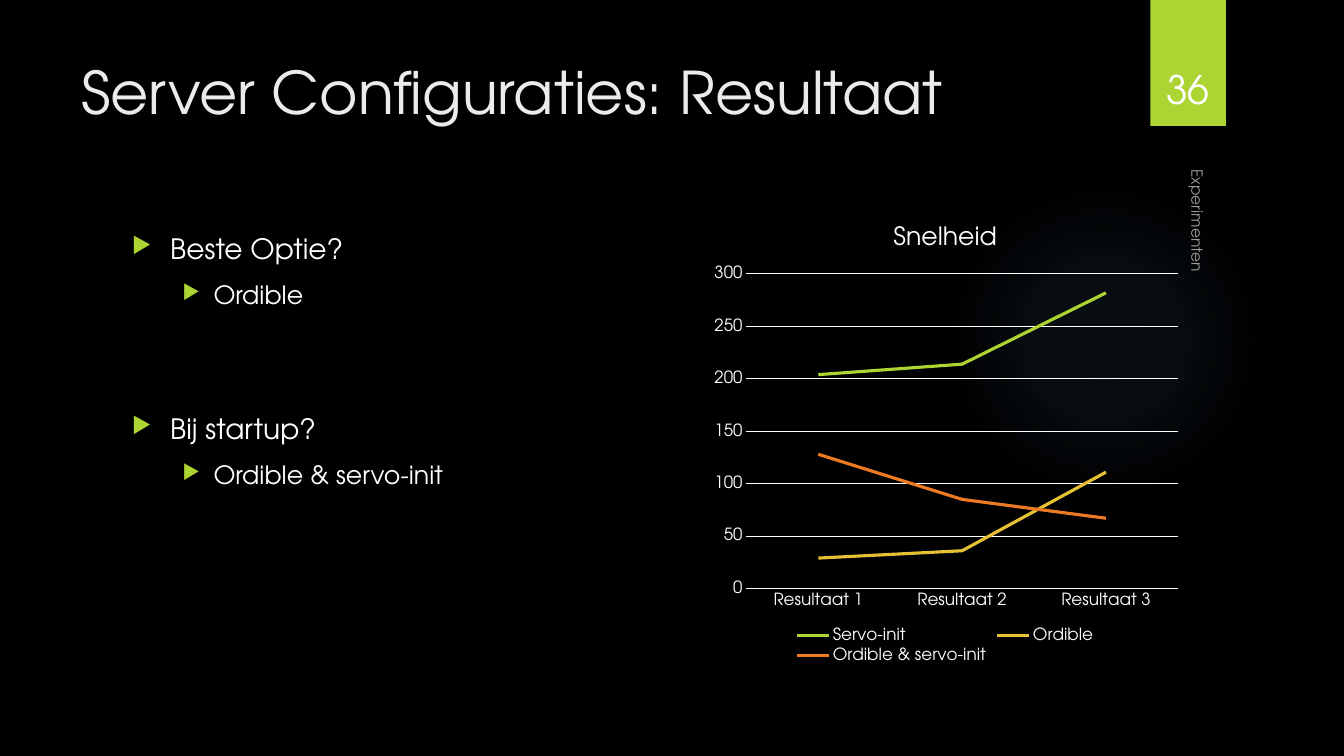
from dataclasses import dataclass

from lxml.etree import SubElement
from pptx import Presentation
from pptx.chart.data import CategoryChartData
from pptx.dml.color import RGBColor
from pptx.enum.chart import XL_CHART_TYPE, XL_LEGEND_POSITION, XL_TICK_MARK
from pptx.enum.shapes import MSO_SHAPE
from pptx.enum.text import MSO_ANCHOR, PP_ALIGN
from pptx.oxml import parse_xml
from pptx.oxml.ns import nsdecls, qn
from pptx.util import Inches, Pt


@dataclass(frozen=True)
class Theme:
    font: str = "TeX Gyre Adventor"
    background: str = "000000"
    glow: str = "7AC4F0"
    accent: str = "ACD433"
    yellow: str = "E6C133"
    orange: str = "EF7A24"
    title: str = "EBEBEB"
    text: str = "FFFFFF"
    shadow: str = "000000"
    title_size: int = 42
    number_size: int = 28
    body_size: int = 20
    sub_size: int = 18
    chart_title_size: int = 18
    chart_size: int = 12
    section_size: int = 11


theme = Theme()


def style_font(font, size, color=theme.text):
    font.name = theme.font
    font.size = Pt(size)
    font.bold = False
    font.color.rgb = RGBColor.from_string(color)


def add_text(box, text, size, color=theme.text, anchor=MSO_ANCHOR.TOP):
    """Put one styled run in a new text box and return the box."""
    text_box = slide.shapes.add_textbox(*[Inches(length) for length in box])
    frame = text_box.text_frame
    frame.word_wrap = True
    frame.vertical_anchor = anchor
    run = frame.paragraphs[0].add_run()
    run.text = text
    style_font(run.font, size, color)
    return text_box


presentation = Presentation()
presentation.slide_width = Inches(13.33)
presentation.slide_height = Inches(7.5)
slide = presentation.slides.add_slide(presentation.slide_layouts[6])
slide.background.fill.solid()
slide.background.fill.fore_color.rgb = RGBColor.from_string(theme.background)

# Soft round glow
glow = slide.shapes.add_shape(
    MSO_SHAPE.OVAL, Inches(9.41), Inches(1.83), Inches(3.08), Inches(3.08))
glow.shadow.inherit = False
glow.line.fill.background()
stops = "".join(
    f'<a:gs pos="{position * 1000}"><a:srgbClr val="{theme.glow}">'
    f'<a:alpha val="{alpha * 1000}"/></a:srgbClr></a:gs>'
    for position, alpha in [(0, 7), (36, 6), (69, 0), (100, 0)])
gradient = parse_xml(
    f'<a:gradFill {nsdecls("a")} rotWithShape="1"><a:gsLst>{stops}</a:gsLst>'
    '<a:path path="circle"><a:fillToRect l="50000" t="50000" r="50000" b="50000"/>'
    '</a:path></a:gradFill>')
glow.element.spPr.find(qn("a:prstGeom")).addnext(gradient)

# Page number tab
tab = slide.shapes.add_shape(
    MSO_SHAPE.RECTANGLE, Inches(11.41), Inches(0), Inches(0.75), Inches(1.25))
tab.shadow.inherit = False
tab.fill.solid()
tab.fill.fore_color.rgb = RGBColor.from_string(theme.accent)
tab.line.fill.background()
tab.element.spPr.find(qn("a:effectLst")).append(parse_xml(
    f'<a:outerShdw {nsdecls("a")} blurRad="{Pt(3)}" dist="{Pt(2)}" dir="5400000" '
    f'rotWithShape="0"><a:srgbClr val="{theme.shadow}"><a:alpha val="45000"/>'
    '</a:srgbClr></a:outerShdw>'))
number_box = add_text(
    (11.32, 0.32, 0.92, 0.84), "36", theme.number_size, anchor=MSO_ANCHOR.BOTTOM)
number_box.text_frame.paragraphs[0].alignment = PP_ALIGN.CENTER

add_text((0.71, 0.5, 10.29, 1.53), "Server Configuraties: Resultaat",
         theme.title_size, theme.title)

# Questions and answers: text, level, space before
bullets = [
    ("Beste Optie?", 0, 10),
    ("Ordible", 1, 10),
    ("Bij startup?", 0, 73),
    ("Ordible & servo-init", 1, 10),
]
indents = [(0.38, -0.38), (0.81, -0.31)]
body = slide.shapes.add_textbox(
    Inches(1.21), Inches(2.25), Inches(5.7), Inches(4.59)).text_frame
body.word_wrap = True
for index, (text, level, space) in enumerate(bullets):
    paragraph = body.add_paragraph() if index else body.paragraphs[0]
    paragraph.level = level
    paragraph.space_before = Pt(space)
    run = paragraph.add_run()
    run.text = text
    style_font(run.font, theme.sub_size if level else theme.body_size)
    properties = paragraph._p.get_or_add_pPr()
    margin, hanging = indents[level]
    properties.set("marL", str(Inches(margin)))
    properties.set("indent", str(Inches(hanging)))
    bullet_color = SubElement(properties, qn("a:buClr"))
    SubElement(bullet_color, qn("a:srgbClr"), val=theme.accent)
    SubElement(properties, qn("a:buSzPct"), val="80000")
    SubElement(properties, qn("a:buChar"), char="▶")

# Speed chart
speeds = [
    ("Servo-init", (204, 214, 282), theme.accent),
    ("Ordible", (29, 36, 111), theme.yellow),
    ("Ordible & servo-init", (128, 85, 67), theme.orange),
]
chart_data = CategoryChartData()
chart_data.categories = [f"Resultaat {number}" for number in range(1, 4)]
for name, values, color in speeds:
    chart_data.add_series(name, values)
chart = slide.shapes.add_chart(
    XL_CHART_TYPE.LINE, Inches(6.97), Inches(2.03), Inches(4.81), Inches(4.59),
    chart_data).chart
style_font(chart.font, theme.chart_size)
chart.has_title = True
title_run = chart.chart_title.text_frame.paragraphs[0].add_run()
title_run.text = "Snelheid"
style_font(title_run.font, theme.chart_title_size)
chart.has_legend = True
chart.legend.position = XL_LEGEND_POSITION.BOTTOM
chart.legend.include_in_layout = False
style_font(chart.legend.font, theme.chart_size)

for axis in (chart.category_axis, chart.value_axis):
    axis.major_tick_mark = XL_TICK_MARK.NONE
    axis.minor_tick_mark = XL_TICK_MARK.NONE
    style_font(axis.tick_labels.font, theme.chart_size)
value_axis = chart.value_axis
value_axis.minimum_scale, value_axis.maximum_scale, value_axis.major_unit = 0, 300, 50
value_axis.format.line.fill.background()
for line in (chart.category_axis.format.line, value_axis.major_gridlines.format.line):
    line.width = Pt(0.75)
    line.color.rgb = RGBColor.from_string(theme.text)

plot = chart.plots[0]
plot.vary_by_categories = False
for series, (name, values, color) in zip(plot.series, speeds):
    series.smooth = False
    series.format.line.width = Pt(2.25)
    series.format.line.color.rgb = RGBColor.from_string(color)

# Fixed place of the plot inside the chart
plot_area = chart.element.chart.plotArea
for old_layout in plot_area.findall(qn("c:layout")):
    plot_area.remove(old_layout)
plot_area.insert(0, parse_xml(
    f'<c:layout {nsdecls("c")}><c:manualLayout><c:layoutTarget val="inner"/>'
    '<c:xMode val="edge"/><c:yMode val="edge"/><c:x val="0.09"/><c:y val="0.15"/>'
    '<c:w val="0.89"/><c:h val="0.68"/></c:manualLayout></c:layout>'))

# Section name along the right edge
section_box = add_text((9.79, 3.53, 4.22, 0.33), "Experimenten",
                       theme.section_size, anchor=MSO_ANCHOR.BOTTOM)
section_box.rotation = 90
section_color = section_box.element.txBody.find(".//" + qn("a:srgbClr"))
SubElement(section_color, qn("a:alpha"), val="60000")

presentation.save("out.pptx")
